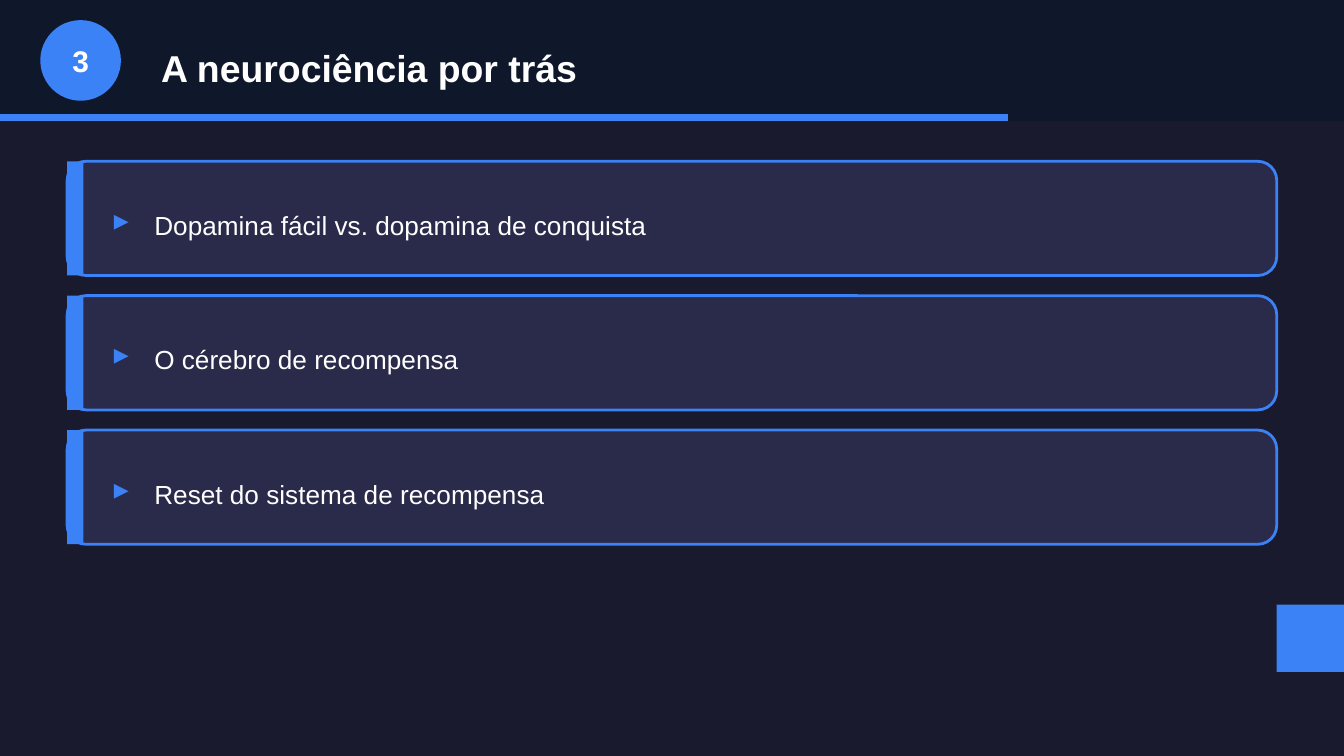
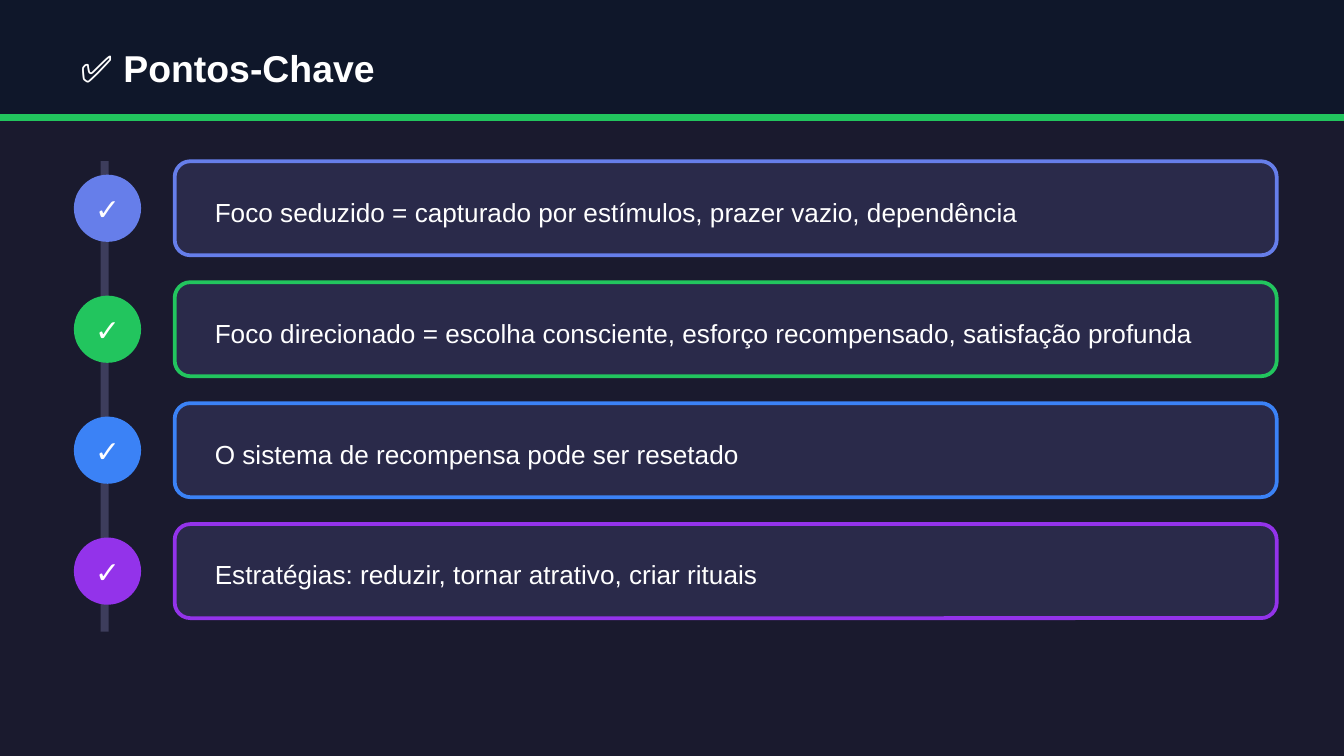
from typing import NamedTuple, Optional

from pptx import Presentation
from pptx.dml.color import RGBColor
from pptx.enum.shapes import MSO_SHAPE as Preset
from pptx.enum.text import MSO_ANCHOR as Anchor, PP_ALIGN as Align
from pptx.slide import Slide
from pptx.util import Pt

WIDTH, HEIGHT = 720, 405
FONT = "Arial"
COLORS = {
    "background": "1A1A2E",
    "header": "0F172A",
    "card": "2A2A4A",
    "timeline": "3D3D5C",
    "white": "FFFFFF",
    "blue": "3B82F6",
    "green": "22C55E",
    "indigo": "667EEA",
    "purple": "9333EA",
}


class Box(NamedTuple):
    left: float
    top: float
    width: float
    height: float


class TextStyle(NamedTuple):
    size: float
    color: str = "white"
    bold: bool = False
    align: Align = Align.LEFT


class KeyPoint(NamedTuple):
    text: str
    color: str


TITLE = TextStyle(20, bold=True)
BODY = TextStyle(14)
BADGE = TextStyle(16, bold=True, align=Align.CENTER)
ARROW = TextStyle(16, "blue", bold=True)

TOPICS = [
    "Dopamina fácil vs. dopamina de conquista",
    "O cérebro de recompensa",
    "Reset do sistema de recompensa",
]
KEY_POINTS = [
    KeyPoint("Foco seduzido = capturado por estímulos, prazer vazio, dependência", "indigo"),
    KeyPoint("Foco direcionado = escolha consciente, esforço recompensado, "
             "satisfação profunda", "green"),
    KeyPoint("O sistema de recompensa pode ser resetado", "blue"),
    KeyPoint("Estratégias: reduzir, tornar atrativo, criar rituais", "purple"),
]
FIRST_ROW = 86.4
TOPIC_STEP = 72
POINT_STEP = 64.8


def rgb(color: str) -> RGBColor:
    return RGBColor.from_string(COLORS[color])


def add_block(slide: Slide, preset: Preset, box: Box, fill: str,
              border: Optional[str] = None, border_width: float = 0) -> None:
    block = slide.shapes.add_shape(preset, *map(Pt, box))
    block.shadow.inherit = False
    block.fill.solid()
    block.fill.fore_color.rgb = rgb(fill)
    if border:
        block.line.color.rgb = rgb(border)
        block.line.width = Pt(border_width)
    else:
        block.line.fill.background()


def add_text(slide: Slide, box: Box, text: str, style: TextStyle) -> None:
    frame = slide.shapes.add_textbox(*map(Pt, box)).text_frame
    frame.word_wrap = True
    frame.vertical_anchor = Anchor.MIDDLE
    paragraph = frame.paragraphs[0]
    paragraph.alignment = style.align
    run = paragraph.add_run()
    run.text = text
    run.font.name = FONT
    run.font.size = Pt(style.size)
    run.font.bold = style.bold
    run.font.color.rgb = rgb(style.color)


def add_badge(slide: Slide, box: Box, label: str, fill: str, inset: float) -> None:
    """Circle with a label in a slightly shorter text box."""
    add_block(slide, Preset.OVAL, box, fill)
    label_box = box._replace(top=box.top + inset, height=box.height - 2 * inset)
    add_text(slide, label_box, label, BADGE)


def start_slide(deck: Presentation, title: str, title_left: float, title_width: float,
                accent: str, accent_width: float) -> Slide:
    """Blank slide with background, header band, accent bar and title."""
    slide = deck.slides.add_slide(deck.slide_layouts[6])
    slide.background.fill.solid()
    slide.background.fill.fore_color.rgb = rgb("background")
    add_block(slide, Preset.RECTANGLE, Box(0, 0, WIDTH, 64.8), "header")
    add_block(slide, Preset.RECTANGLE, Box(0, 61.2, accent_width, 3.6), accent)
    add_text(slide, Box(title_left, 18, title_width, 36), title, TITLE)
    return slide


def add_topic(slide: Slide, top: float, topic: str) -> None:
    card = Box(36, top, 648, 61.2)
    add_block(slide, Preset.ROUNDED_RECTANGLE, card, "card", "blue", 1.5)
    add_block(slide, Preset.RECTANGLE, card._replace(width=8.64), "blue")
    add_text(slide, Box(54, top + 18, 21.6, 25.2), "▸", ARROW)
    add_text(slide, Box(75.6, top + 18, 590.4, 32.4), topic, BODY)


def add_key_point(slide: Slide, top: float, point: KeyPoint) -> None:
    add_badge(slide, Box(39.6, top + 7.2, 36, 36), "✓", point.color, 3.6)
    add_block(slide, Preset.ROUNDED_RECTANGLE, Box(93.6, top, 590.4, 50.4),
              "card", point.color, 2)
    add_text(slide, Box(108, top + 10.8, 561.6, 32.4), point.text, BODY)


def build_topics(deck: Presentation) -> None:
    slide = start_slide(deck, "A neurociência por trás", 79.2, 612, "blue", 540)
    add_badge(slide, Box(21.6, 10.8, 43.2, 43.2), "3", "blue", 7.2)
    for row, topic in enumerate(TOPICS):
        add_topic(slide, FIRST_ROW + row * TOPIC_STEP, topic)
    # Corner accent
    add_block(slide, Preset.RECTANGLE, Box(684, 324, 36, 36), "blue")


def build_key_points(deck: Presentation) -> None:
    slide = start_slide(deck, "✅ Pontos-Chave", 36, 648, "green", WIDTH)
    # Timeline behind the badges
    add_block(slide, Preset.RECTANGLE, Box(54, FIRST_ROW, 4.32, 252), "timeline")
    for row, point in enumerate(KEY_POINTS):
        add_key_point(slide, FIRST_ROW + row * POINT_STEP, point)


def main() -> None:
    deck = Presentation()
    deck.slide_width, deck.slide_height = Pt(WIDTH), Pt(HEIGHT)
    build_topics(deck)
    build_key_points(deck)
    deck.save("out.pptx")


if __name__ == "__main__":
    main()
